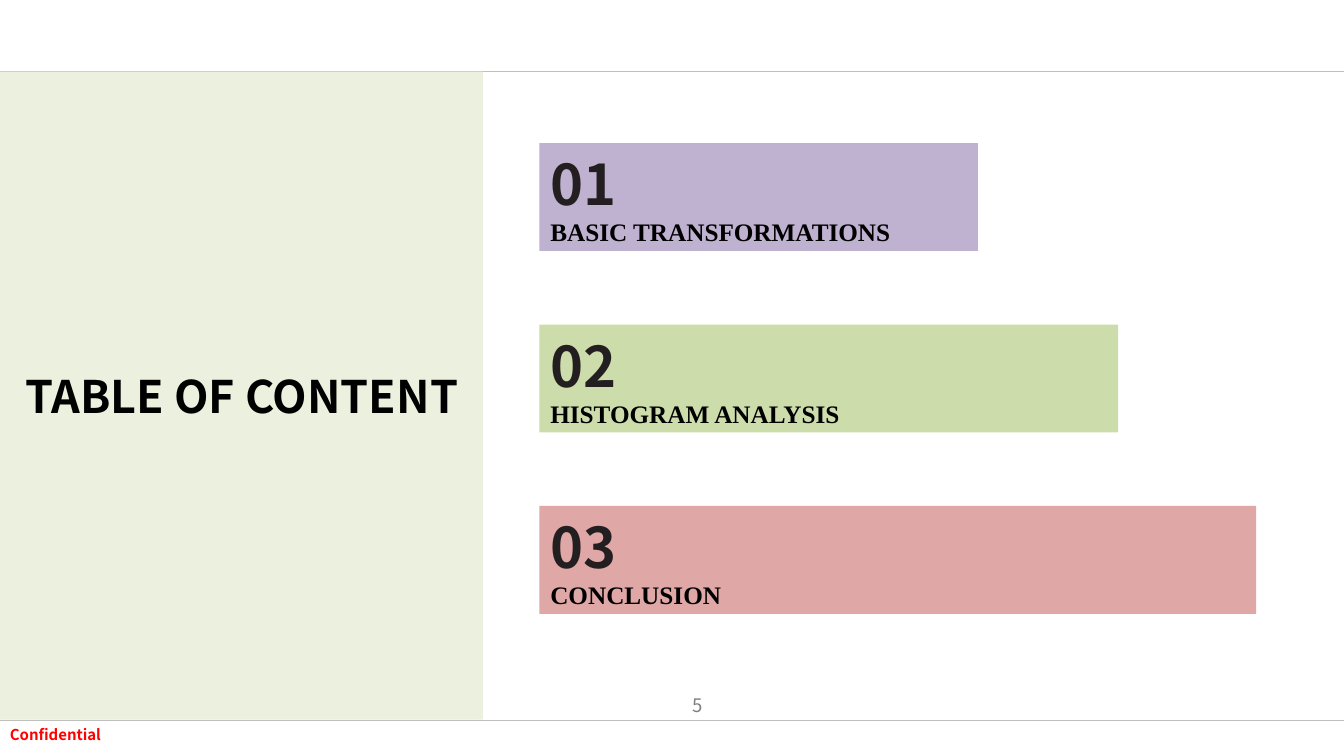
from lxml import etree
from pptx import Presentation
from pptx.dml.color import RGBColor
from pptx.enum.shapes import MSO_CONNECTOR, MSO_SHAPE
from pptx.enum.text import MSO_ANCHOR, PP_ALIGN
from pptx.oxml.ns import qn
from pptx.util import Inches, Pt

RECT = MSO_SHAPE.RECTANGLE
LINE = MSO_CONNECTOR.STRAIGHT
MID, LOW = MSO_ANCHOR.MIDDLE, MSO_ANCHOR.BOTTOM
LEFT, MIDST, RIGHT = PP_ALIGN.LEFT, PP_ALIGN.CENTER, PP_ALIGN.RIGHT

COLORS = {
    "red": "FF0000", "rule": "BFBFBF", "gray": "808080", "panel": "EBF1DE",
    "black": "000000", "ink": "231F20",
    "violet": "8064A2", "green": "9BBB59", "rose": "C0504D",
}
SANS, SERIF = "Noto Sans CJK KR", "Times New Roman"
STYLES = {
    "note": {"name": SANS, "size": Pt(10.7), "bold": True, "color": "red"},
    "page": {"name": SANS, "size": Pt(13.3), "bold": False, "color": "gray"},
    "title": {"name": SANS, "size": Pt(32), "bold": True, "color": "black"},
    "number": {"name": SANS, "size": Pt(40), "bold": True, "color": "ink"},
    "topic": {"name": SERIF, "size": Pt(18), "bold": True, "color": "black"},
}


class Page:
    def __init__(self, slide):
        self.shapes = slide.shapes
        self.styles = STYLES

    def color(self, name):
        return RGBColor.from_string(COLORS[name])

    def rule(self, start, end, y):
        line = self.shapes.add_connector(
            LINE, Inches(start), Inches(y), Inches(end), Inches(y))
        line.line.color.rgb = self.color("rule")
        line.line.width = Pt(1)
        etree.SubElement(line._element.spPr, qn("a:effectLst"))

    def block(self, box, fill, alpha=None):
        shape = self.shapes.add_shape(RECT, *map(Inches, box))
        shape.shadow.inherit = False
        shape.fill.solid()
        shape.fill.fore_color.rgb = self.color(fill)
        shape.line.fill.background()
        if alpha:
            tint = shape._element.spPr.find(qn("a:solidFill"))[0]
            etree.SubElement(tint, qn("a:alpha"), val=str(alpha * 1000))

    def text(self, box, lines, anchor=MID, align=LEFT):
        frame = self.shapes.add_textbox(*map(Inches, box)).text_frame
        frame.word_wrap = True
        frame.vertical_anchor = anchor
        for i, (words, style) in enumerate(lines):
            para = frame.add_paragraph() if i else frame.paragraphs[0]
            para.alignment = align
            run = para.add_run()
            run.text = words
            for key, value in self.styles[style].items():
                if key == "color":
                    run.font.color.rgb = self.color(value)
                else:
                    setattr(run.font, key, value)


def main():
    deck = Presentation()
    deck.slide_width, deck.slide_height = Inches(13.33), Inches(7.5)
    page = Page(deck.slides.add_slide(deck.slide_layouts[6]))

    page.text((0, 7.15, 2.29, 0.28), [("Confidential", "note")], LOW)
    page.rule(-0.1, 13.39, 0.71)
    page.rule(0, 13.33, 7.15)
    page.text((6.32, 6.79, 0.75, 0.4), [("5", "page")], align=RIGHT)
    page.block((0, 0.71, 4.79, 6.43), "panel")
    page.text((0.12, 3.72, 4.56, 0.4), [("TABLE OF CONTENT", "title")],
              align=MIDST)

    topics = [
        ("BASIC TRANSFORMATIONS", "violet", 4.35),
        ("HISTOGRAM ANALYSIS", "green", 5.74),
        ("CONCLUSION", "rose", 7.11),
    ]
    for i, (topic, fill, width) in enumerate(topics):
        top = 1.42 + 1.8 * i
        page.block((5.35, top, width, 1.07), fill, 50)
        page.text((5.36, top, 6.76, 1.08),
                  [(f"{i + 1:02}", "number"), (topic, "topic")], LOW)

    deck.save("out.pptx")


if __name__ == "__main__":
    main()
